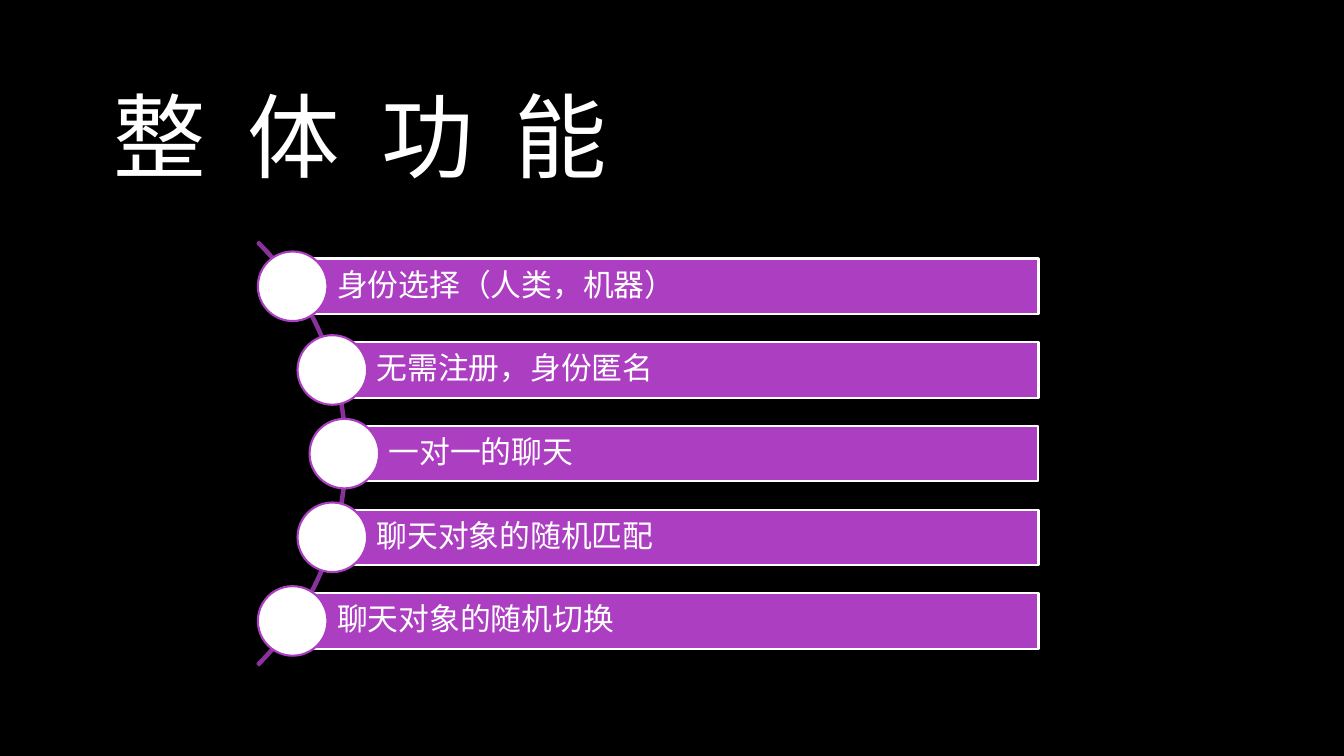
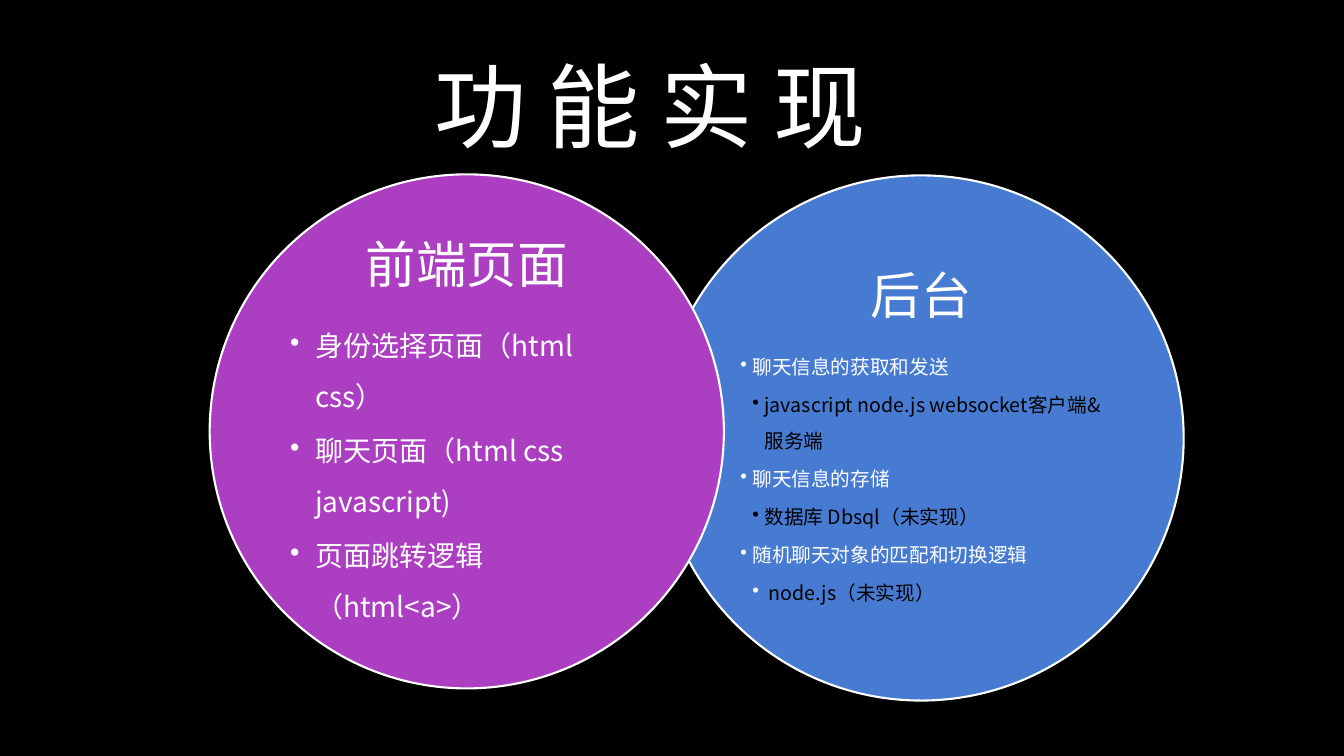
"""Builds two slides on a chat application: its functions and how they are made."""
from math import sqrt
from lxml import etree
from pptx import Presentation
from pptx.dml.color import RGBColor
from pptx.enum import shapes, text
from pptx.oxml.ns import qn
from pptx.util import Inches, Pt

FONT = "Noto Sans CJK SC"
BLACK, WHITE, PURPLE, BLUE, ARC = "000000", "FFFFFF", "AC3EC1", "477BD1", "8A329B"
SHAPE = shapes.MSO_SHAPE
ALIGN = text.PP_ALIGN

FUNCTIONS = ["身份选择（人类，机器）", "无需注册，身份匿名", "一对一的聊天",
             "聊天对象的随机匹配", "聊天对象的随机切换"]
ARC_X, ARC_Y, ARC_SIZE, DOT_RADIUS = 0.47, 4.5, 5.94, 2.945
ROW_STEP, BAR_RIGHT, BAR_H, DOT = 0.83, 10.3, 0.55, 0.69

# (left, top, diameter, fill, heading, text size, indent, items as (level, text, colour, bullet colour))
CIRCLES = [
    (6.53, 1.74, 5.21, BLUE, "后台", 14, 0.12, [
        (1, "聊天信息的获取和发送", WHITE, WHITE),
        (2, "javascript node.js websocket客户端&服务端", BLACK, BLACK),
        (1, "聊天信息的存储", WHITE, WHITE),
        (2, "数据库 Dbsql（未实现）", BLACK, BLACK),
        (1, "随机聊天对象的匹配和切换逻辑", WHITE, WHITE),
        (2, " node.js（未实现）", BLACK, WHITE)]),
    (2.08, 1.73, 5.1, PURPLE, "前端页面", 20, 0.25, [
        (1, "身份选择页面（html css）", WHITE, WHITE),
        (1, "聊天页面（html css javascript)", WHITE, WHITE),
        (1, "页面跳转逻辑（html<a>）", WHITE, WHITE)]),
]


def rgb(color):
    return RGBColor.from_string(color)


def write(p, words, size, color=WHITE, align=ALIGN.LEFT, line=0.9, after=0, tracking=0):
    p.text = words
    p.alignment, p.line_spacing, p.space_after = align, line, Pt(after)
    p.font.size, p.font.name = Pt(size), FONT
    p.font.color.rgb = rgb(color)
    props = p._p.pPr.find(qn("a:defRPr"))
    etree.SubElement(props, qn("a:ea")).set("typeface", FONT)
    if tracking:
        props.set("spc", str(round(tracking * 100)))


def add_bullet(p, level, indent, color):
    props = p._p.get_or_add_pPr()
    props.set("marL", str(Inches(indent * level)))
    props.set("indent", str(-Inches(indent)))
    tint, mark = etree.Element(qn("a:buClr")), etree.Element(qn("a:buChar"))
    etree.SubElement(tint, qn("a:srgbClr")).set("val", color)
    mark.set("char", "•")
    at = props.index(props.find(qn("a:defRPr")))
    props[at:at] = [tint, mark]


def add_shape(s, kind, x, y, w, h, fill, line):
    sp = s.shapes.add_shape(kind, *map(Inches, (x, y, w, h)))
    sp.shadow.inherit = False
    if fill:
        sp.fill.solid()
        sp.fill.fore_color.rgb = rgb(fill)
    else:
        sp.fill.background()
    sp.line.color.rgb, sp.line.width = rgb(line), Pt(1.5)
    return sp


def text_frame(sp, left, other):
    tf = sp.text_frame
    tf.word_wrap, tf.vertical_anchor = True, text.MSO_ANCHOR.MIDDLE
    tf.margin_left = Inches(left)
    tf.margin_top = tf.margin_right = tf.margin_bottom = Inches(other)
    return tf


def add_slide(prs, title, x, y, tracking=0):
    s = prs.slides.add_slide(prs.slide_layouts[5])
    s.background.fill.solid()
    s.background.fill.fore_color.rgb = rgb(BLACK)
    sp = s.shapes.title
    sp.left, sp.top, sp.width, sp.height = map(Inches, (x, y, 9, 1.4))
    tf = sp.text_frame
    tf.auto_size, tf.vertical_anchor = text.MSO_AUTO_SIZE.NONE, text.MSO_ANCHOR.BOTTOM
    write(tf.paragraphs[0], title, 66, tracking=tracking)
    return s


def functions_slide(prs):
    s = add_slide(prs, "整 体 功 能", 1.03, 0.55, tracking=7.4)
    arc = add_shape(s, SHAPE.BLOCK_ARC, ARC_X - ARC_SIZE / 2, ARC_Y - ARC_SIZE / 2,
                    ARC_SIZE, ARC_SIZE, None, ARC)
    for i, value in enumerate((189, 27, 0.004)):
        arc.adjustments[i] = value
    for i, words in enumerate(FUNCTIONS):
        dy = (i - (len(FUNCTIONS) - 1) / 2) * ROW_STEP
        x, y = ARC_X + sqrt(DOT_RADIUS ** 2 - dy ** 2), ARC_Y + dy
        bar = add_shape(s, SHAPE.RECTANGLE, x, y - BAR_H / 2, BAR_RIGHT - x, BAR_H, PURPLE, WHITE)
        write(text_frame(bar, 0.44, 0.06).paragraphs[0], words, 22)
        add_shape(s, SHAPE.OVAL, x - DOT / 2, y - DOT / 2, DOT, DOT, WHITE, PURPLE)


def implementation_slide(prs):
    s = add_slide(prs, "功 能 实 现", 4.21, 0.25)
    for x, y, size, fill, heading, points, indent, items in CIRCLES:
        tf = text_frame(add_shape(s, SHAPE.OVAL, x, y, size, size, fill, WHITE), 0.05, 0.05)
        write(tf.paragraphs[0], heading, 36, align=ALIGN.CENTER, after=12.6)
        for level, words, color, bullet in items:
            p = tf.add_paragraph()
            write(p, words, points, color, line=1.5, after=points * 0.15)
            add_bullet(p, level, indent, bullet)


def main():
    prs = Presentation()
    prs.slide_width, prs.slide_height = Inches(13.33), Inches(7.5)
    functions_slide(prs)
    implementation_slide(prs)
    prs.save("out.pptx")


if __name__ == "__main__":
    main()
